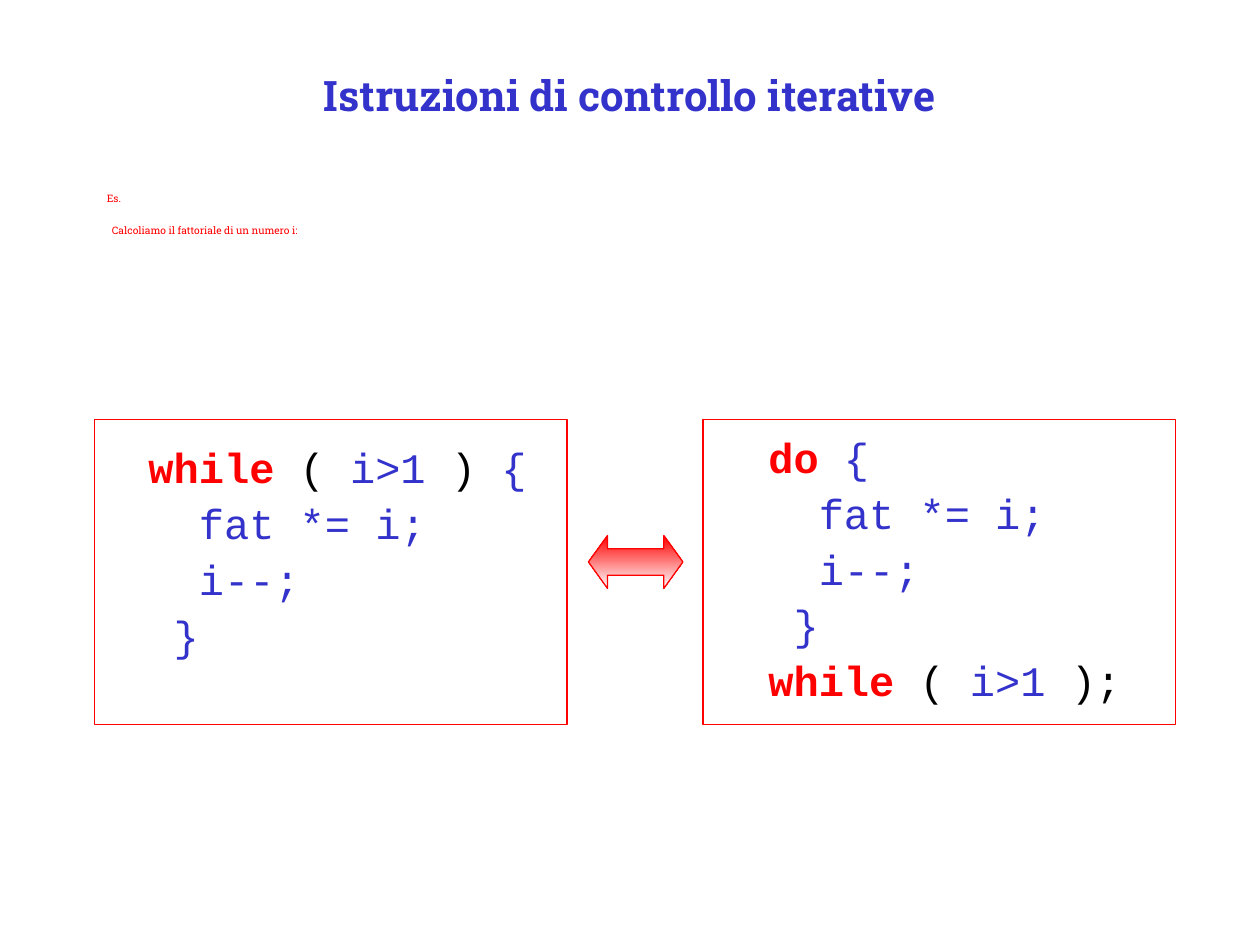
from pptx import Presentation
from pptx.dml.color import RGBColor
from pptx.enum.shapes import MSO_SHAPE
from pptx.enum.text import MSO_ANCHOR, PP_ALIGN
from pptx.util import Inches, Pt

COLORS = {"blue": "3333CC", "red": "FF0000", "black": "000000", "white": "FFFFFF"}


def rgb(name):
    return RGBColor.from_string(COLORS[name])


class SlideBuilder:
    text_font = "Roboto Slab"
    code_font = "Courier New"

    def __init__(self, slide):
        self.slide = slide

    def text(self, box, lines, font, size, spacing=1.0, gap=0,
             align=PP_ALIGN.LEFT, anchor=MSO_ANCHOR.TOP):
        """Each line is a list of (text, colour, bold) runs."""
        tf = self.slide.shapes.add_textbox(*map(Inches, box)).text_frame
        tf.word_wrap = True
        tf.vertical_anchor = anchor
        for i, runs in enumerate(lines):
            p = tf.add_paragraph() if i else tf.paragraphs[0]
            p.alignment = align
            p.line_spacing = spacing
            if i:
                p.space_before = Pt(gap)
            for words, color, bold in runs:
                r = p.add_run()
                r.text = words
                r.font.name = font
                r.font.size = Pt(size)
                r.font.bold = bold
                r.font.color.rgb = rgb(color)
        return tf

    def shape(self, kind, box):
        sp = self.slide.shapes.add_shape(kind, *map(Inches, box))
        sp.shadow.inherit = False
        sp.fill.background()
        sp.line.color.rgb = rgb("red")
        sp.line.width = Pt(0.75)
        return sp

    def code_panel(self, left, text_box, lines):
        self.text(text_box, lines, self.code_font, 24, spacing=0.9, gap=6)
        self.shape(MSO_SHAPE.RECTANGLE, (left, 3.33, 3.75, 2.42))

    def double_arrow(self, box):
        sp = self.shape(MSO_SHAPE.LEFT_RIGHT_ARROW, box)
        sp.adjustments[0] = 0.5
        sp.adjustments[1] = 0.36
        sp.fill.gradient()
        sp.fill.gradient_angle = 270
        for stop, color in zip(sp.fill.gradient_stops, ("red", "white")):
            stop.color.rgb = rgb(color)


def main():
    prs = Presentation()
    prs.slide_width, prs.slide_height = Inches(10), Inches(7.5)
    s = SlideBuilder(prs.slides.add_slide(prs.slide_layouts[6]))

    # Title
    s.text((0.75, 0.42, 8.5, 0.67),
           [[("Istruzioni di controllo iterative", "blue", True)]],
           s.text_font, 24, align=PP_ALIGN.CENTER, anchor=MSO_ANCHOR.MIDDLE)

    # Example
    tf = s.text((0.75, 1.5, 8.25, 1.25),
                [[("Es.", "red", False)],
                 [("Calcoliamo il fattoriale di un numero i:", "red", False)]],
                s.text_font, 5.9, spacing=0.7, gap=13.3)
    tf.paragraphs[1]._p.get_or_add_pPr().set("marL", str(Inches(0.04)))

    # Equivalent loops
    body = [[(line, "blue", False)] for line in ("  fat *= i;", "  i--;", " }")]
    condition = [("while", "red", True), (" ( ", "black", False),
                 ("i>1", "blue", False)]
    s.code_panel(0.75, (1.08, 3.5, 3.25, 2.4),
                 [condition + [(" ) ", "black", False), ("{", "blue", False)],
                  *body])
    s.code_panel(5.58, (6, 3.42, 3, 2.84),
                 [[("do ", "red", True), ("{", "blue", False)],
                  *body,
                  condition + [(" );", "black", False)]])
    s.double_arrow((4.67, 4.25, 0.75, 0.42))

    prs.save("out.pptx")


if __name__ == "__main__":
    main()
